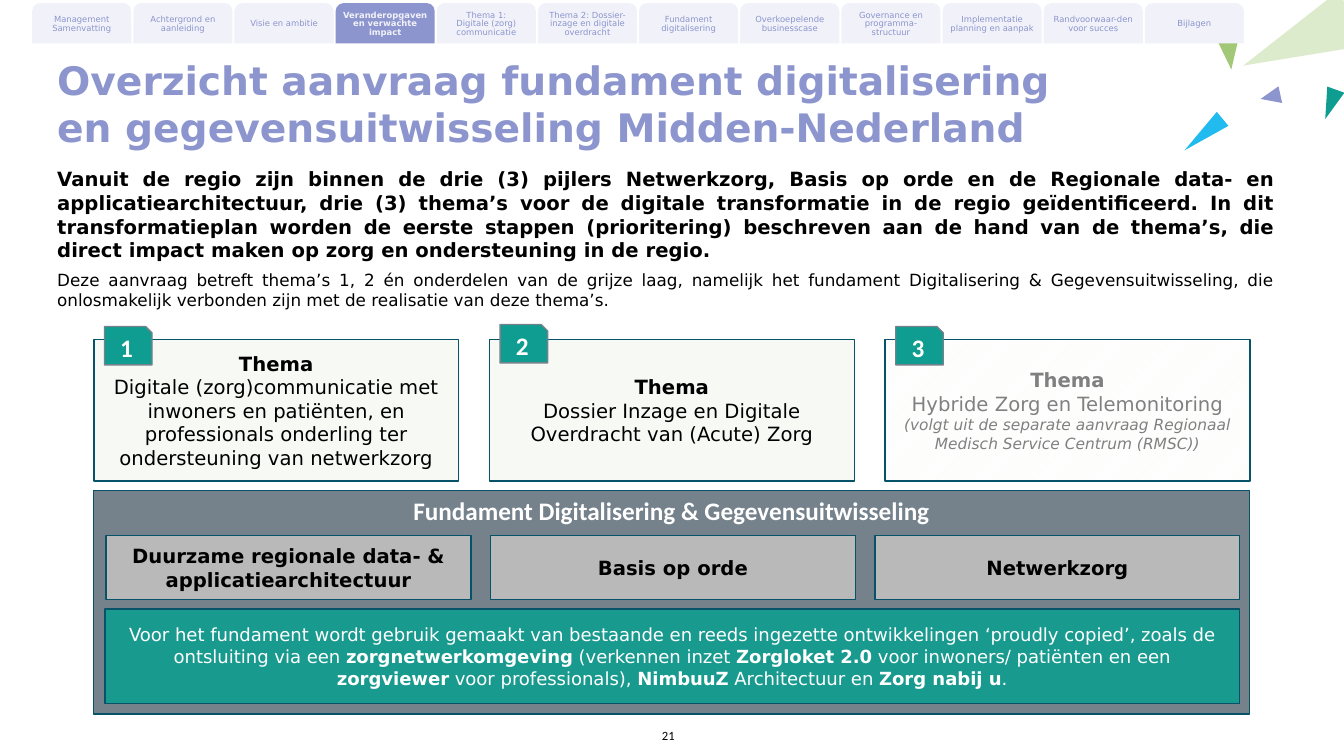
from lxml.etree import SubElement
from pptx import Presentation
from pptx.dml.color import RGBColor
from pptx.enum.dml import MSO_PATTERN as Pattern
from pptx.enum.shapes import MSO_SHAPE as Shape
from pptx.enum.text import MSO_ANCHOR as Anchor, PP_ALIGN as Align
from pptx.oxml.ns import qn
from pptx.util import Pt

HUES = {
    "white": "FFFFFF", "black": "000000", "lilac": "8C95CD", "pale": "F1F2F9",
    "green": "A2C877", "sky": "21BBEF", "teal": "0E9D90", "petrol": "055269",
    "mist": "F7F9F5", "slate": "75818B", "silver": "B9B9B9", "grey": "808080",
}
SANS = "DejaVu Sans"

TABS = [
    ["Management Samenvatting"], ["Achtergrond en aanleiding"],
    ["Visie en ambitie"], ["*Veranderopgaven en verwachte impact*"],
    ["Thema 1:", "Digitale (zorg) communicatie"],
    ["Thema 2: Dossier-inzage en digitale overdracht"],
    ["Fundament digitalisering"], ["Overkoepelende businesscase"],
    ["Governance en programma-structuur"],
    ["Implementatie planning en aanpak"],
    ["Randvoorwaar-den voor succes"], ["Bijlagen"],
]
ACTIVE = 3

# left, top, width, height, turn, colour, opacity in percent
SHARDS = [
    (905, -12.2, 43.2, 84.2, 246.3, "green", 36),
    (866.2, 17.3, 23, 32.4, 173.7, "green", 100),
    (853.2, 78.5, 13, 35.3, 230.5, "sky", 100),
    (943.9, 63.4, 13, 22.3, 199.9, "teal", 100),
    (907.9, 43.9, 18.7, 36.7, 218, "white", 100),
    (901.4, 61.9, 12.2, 14.4, 257.8, "lilac", 100),
]

INTRO = [
    "*Vanuit de regio zijn binnen de drie (3) pijlers Netwerkzorg, Basis op "
    "orde en de Regionale data- en applicatiearchitectuur, drie (3) thema’s "
    "voor de digitale transformatie in de regio geïdentificeerd. In dit "
    "transformatieplan worden de eerste stappen (prioritering) beschreven aan "
    "de hand van de thema’s, die direct impact maken op zorg en ondersteuning "
    "in de regio.*",
    "Deze aanvraag betreft thema’s 1, 2 én onderdelen van de grijze laag, "
    "namelijk het fundament Digitalisering & Gegevensuitwisseling, die "
    "onlosmakelijk verbonden zijn met de realisatie van deze thema’s.",
]
THEMES = [
    "Digitale (zorg)communicatie met inwoners en patiënten, en professionals "
    "onderling ter ondersteuning van netwerkzorg",
    "Dossier Inzage en Digitale Overdracht van (Acute) Zorg",
    "Hybride Zorg en Telemonitoring ",
]
ASIDE = ("(volgt uit de separate aanvraag Regionaal Medisch Service Centrum "
         "(RMSC))")
PILLARS = ["Duurzame regionale data- & applicatiearchitectuur",
           "Basis op orde", "Netwerkzorg"]
NOTE = [
    "Voor het fundament wordt gebruik gemaakt van bestaande en reeds ingezette "
    "ontwikkelingen ‘proudly copied’, zoals de ontsluiting via een "
    "*zorgnetwerkomgeving* (verkennen inzet *Zorgloket 2.0* voor inwoners/ "
    "patiënten en een",
    "*zorgviewer* voor professionals), *NimbuuZ* Architectuur en "
    "*Zorg nabij u*.",
]


def hue(name):
    return RGBColor.from_string(HUES[name])


def write(frame, paras, size, ink, face=SANS, align=Align.CENTER):
    """Fill a text frame; parts between asterisks are bold."""
    frame.word_wrap = True
    for n, text in enumerate(paras):
        para = frame.paragraphs[0] if n == 0 else frame.add_paragraph()
        para.alignment = align
        parts = [(t, i % 2 == 1) for i, t in enumerate(text.split("*")) if t]
        font = para.font
        font.size, font.name, font.bold = Pt(size), face, parts[0][1]
        font.color.rgb = hue(ink)
        for part, bold in parts:
            run = para.add_run()
            run.text = part
            if bold != font.bold:
                run.font.bold = bold


def label(slide, box, paras, size, ink, face=SANS, align=Align.LEFT):
    """Add a plain text box."""
    frame = slide.shapes.add_textbox(*map(Pt, box)).text_frame
    write(frame, paras, size, ink, face, align)
    return frame


def block(slide, kind, box, fill, edge=None, alpha=100):
    """Add a flat preset shape with its text in the middle."""
    shape = slide.shapes.add_shape(kind, *map(Pt, box))
    shape.shadow.inherit = False
    shape.fill.solid()
    shape.fill.fore_color.rgb = hue(fill)
    if alpha < 100:
        tint = shape.fill._xPr.find(".//" + qn("a:srgbClr"))
        SubElement(tint, qn("a:alpha"), val=str(alpha * 1000))
    if edge:
        shape.line.color.rgb = hue(edge)
        shape.line.width = Pt(1)
    else:
        shape.line.fill.background()
    shape.text_frame.vertical_anchor = Anchor.MIDDLE
    return shape


def shards(slide):
    for *box, turn, fill, alpha in SHARDS:
        edge = "white" if fill == "white" else None
        block(slide, Shape.ISOSCELES_TRIANGLE, box, fill, edge, alpha).rotation = turn


def tab(slide, n, paras):
    fill, ink = ("lilac", "pale") if n == ACTIVE else ("pale", "lilac")
    shape = block(slide, Shape.ROUND_2_SAME_RECTANGLE,
                  (23 + 72.25 * n, 2.2, 70.8, 28.8), fill)
    shape.adjustments[0] = 0.2
    frame = shape.text_frame
    frame.margin_left = frame.margin_right = Pt(2.9)
    write(frame, paras, 6, ink)
    for para in frame.paragraphs:
        para.line_spacing = Pt(6)


def theme(slide, n, text):
    left, last = 67 + 282.6 * n, n == 2
    card = block(slide, Shape.RECTANGLE, (left, 242.6, 260.6, 101), "mist", "petrol")
    write(card.text_frame, ["*Thema*", text], 14, "grey" if last else "black")
    if last:
        card.fill.patterned()
        card.fill.pattern = Pattern.DARK_UPWARD_DIAGONAL
        card.fill.fore_color.rgb = hue("mist")
        card.fill.back_color.rgb = hue("white")
        aside = card.text_frame.paragraphs[1].add_run()
        aside.text = ASIDE
        aside.font.size, aside.font.italic = Pt(11), True
    top = 231.8 if n == 1 else 233.2
    badge = block(slide, Shape.SNIP_1_RECTANGLE, (left + 7.6, top, 34, 27.4),
                  "teal", "slate")
    write(badge.text_frame, [f"*{n + 1}*"], 18, "white", "Calibri")


def base(slide):
    """Draw the grey foundation with its pillars and note."""
    back = block(slide, Shape.RECTANGLE, (67, 350.6, 825.4, 159.6), "slate", "petrol")
    back.text_frame.vertical_anchor = Anchor.TOP
    write(back.text_frame, ["*Fundament Digitalisering & Gegevensuitwisseling*"],
          18, "white", "Calibri")
    for n, name in enumerate(PILLARS):
        pillar = block(slide, Shape.RECTANGLE, (75.8 + 274.6 * n, 382.5, 260.6, 45.6),
                       "silver", "petrol")
        write(pillar.text_frame, [f"*{name}*"], 14, "black")
    note = block(slide, Shape.RECTANGLE, (74.9, 435, 810.4, 67.4),
                 "teal", "petrol", 90)
    write(note.text_frame, NOTE, 12.9, "white")


def main():
    deck = Presentation()
    deck.slide_width, deck.slide_height = Pt(960), Pt(540)
    slide = deck.slides.add_slide(deck.slide_layouts[6])
    shards(slide)
    label(slide, (33.8, 36.7, 765.4, 75),
          ["*Overzicht aanvraag fundament digitalisering en "
           "gegevensuitwisseling Midden-Nederland*"], 28, "lilac")
    intro = label(slide, (33.8, 116, 884.2, 112), INTRO, 14, "black",
                  align=Align.JUSTIFY)
    for para in intro.paragraphs:
        para.space_after = Pt(6)
    intro.paragraphs[1].font.size = Pt(12)
    for n, text in enumerate(THEMES):
        theme(slide, n, text)
    base(slide)
    label(slide, (465.8, 516.2, 28, 22), ["21"], 9, "black", "Calibri")
    for n, paras in enumerate(TABS):
        tab(slide, n, paras)
    deck.save("out.pptx")


if __name__ == "__main__":
    main()
